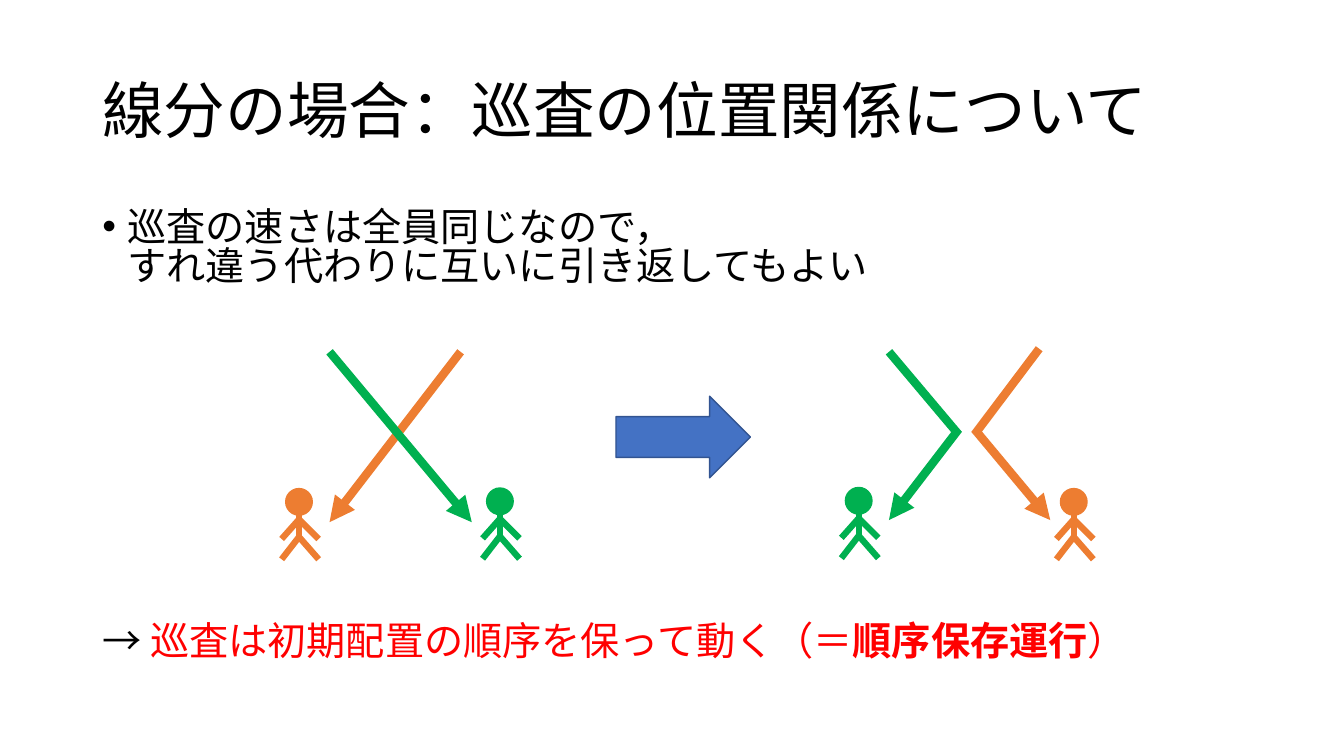
from dataclasses import dataclass

from pptx import Presentation
from pptx.dml.color import RGBColor
from pptx.enum.shapes import MSO_CONNECTOR, MSO_SHAPE
from pptx.enum.text import MSO_ANCHOR
from pptx.oxml.ns import qn
from pptx.util import Pt


@dataclass(frozen=True)
class Theme:
    font: str = "Noto Sans CJK JP"
    title_size: float = 44
    body_size: float = 28
    text: str = "000000"
    accent: str = "FF0000"
    orange: str = "ED7D31"
    green: str = "00B050"
    blue: str = "4472C4"
    blue_edge: str = "325491"
    route_width: float = 6
    limb_width: float = 4.5
    edge_width: float = 1


@dataclass(frozen=True)
class Segment:
    start: tuple[float, float]
    end: tuple[float, float]
    color: str
    arrow: bool = True


@dataclass(frozen=True)
class Officer:
    center: float
    top: float
    color: str


@dataclass(frozen=True)
class TextPart:
    text: str
    color: str
    bold: bool = False


THEME = Theme()

# Routes: crossing on the left, turning back on the right
SEGMENTS = [
    Segment((329, 251.3), (235.4, 373), THEME.orange),
    Segment((235.4, 251.3), (337, 373), THEME.green),
    Segment((684.7, 306.7), (635, 371.5), THEME.green),
    Segment((696.2, 306.7), (750.2, 371.5), THEME.orange),
    Segment((684.7, 310.3), (635, 251.3), THEME.green, arrow=False),
    Segment((696.2, 310.3), (742.3, 249.1), THEME.orange, arrow=False),
]

OFFICERS = [
    Officer(357.1, 348.6, THEME.green),
    Officer(213.6, 349, THEME.orange),
    Officer(767, 349, THEME.orange),
    Officer(613.4, 348.2, THEME.green),
]

# Stick figure, measured from the top centre of the head
HEAD_SIZE = 19
SHOULDER, HIP = (0, 22), (0, 34.5)
LIMBS = [
    ((0, 18.5), (0, 36)),
    (HIP, (14, 50.5)),
    (SHOULDER, (14, 36)),
    (SHOULDER, (-12.4, 36)),
    (HIP, (-12.4, 50.5)),
]


def add_line(shapes, start, end, color: str, width: float, arrow: bool = False) -> None:
    points = [Pt(value) for value in (*start, *end)]
    connector = shapes.add_connector(MSO_CONNECTOR.STRAIGHT, *points)
    connector.line.color.rgb = RGBColor.from_string(color)
    connector.line.width = Pt(width)
    if arrow:
        tail = connector.line._get_or_add_ln().makeelement(qn("a:tailEnd"), {"type": "triangle"})
        connector.line._get_or_add_ln().append(tail)
    properties = connector._element.spPr
    properties.append(properties.makeelement(qn("a:effectLst"), {}))


def add_solid(shapes, kind, box, fill: str, edge: str) -> None:
    shape = shapes.add_shape(kind, *[Pt(value) for value in box])
    shape.shadow.inherit = False
    shape.fill.solid()
    shape.fill.fore_color.rgb = RGBColor.from_string(fill)
    shape.line.color.rgb = RGBColor.from_string(edge)
    shape.line.width = Pt(THEME.edge_width)


def add_officer(slide, officer: Officer) -> None:
    shapes = slide.shapes.add_group_shape().shapes
    head = (officer.center - HEAD_SIZE / 2, officer.top, HEAD_SIZE, HEAD_SIZE)
    add_solid(shapes, MSO_SHAPE.OVAL, head, officer.color, officer.color)
    for limb in LIMBS:
        start, end = [(officer.center + x, officer.top + y) for x, y in limb]
        add_line(shapes, start, end, officer.color, THEME.limb_width)


def add_text(slide, box, lines: list[list[TextPart]], size: float, spacing: float,
             anchor=MSO_ANCHOR.TOP, bullet: bool = False) -> None:
    frame = slide.shapes.add_textbox(*[Pt(value) for value in box]).text_frame
    frame.word_wrap = True
    frame.vertical_anchor = anchor
    paragraph = frame.paragraphs[0]
    paragraph.line_spacing = spacing
    if bullet:
        properties = paragraph._p.get_or_add_pPr()
        properties.set("marL", str(Pt(18)))
        properties.set("indent", str(Pt(-18)))
        for tag, name, value in (("a:buFont", "typeface", "Arial"), ("a:buChar", "char", "•")):
            properties.append(properties.makeelement(qn(tag), {name: value}))
    for number, line in enumerate(lines):
        if number:
            paragraph.add_line_break()
        for part in line:
            run = paragraph.add_run()
            run.text = part.text
            run.font.name = THEME.font
            run.font.size = Pt(size)
            run.font.bold = part.bold
            run.font.color.rgb = RGBColor.from_string(part.color)
            east_asian = run._r.rPr.makeelement(qn("a:ea"), {"typeface": THEME.font})
            run._r.rPr.find(qn("a:latin")).addnext(east_asian)


def main() -> None:
    presentation = Presentation()
    presentation.slide_width, presentation.slide_height = Pt(960), Pt(540)
    slide = presentation.slides.add_slide(presentation.slide_layouts[6])

    # Title and claim
    add_text(slide, (66, 28.8, 828, 104.4),
             [[TextPart("線分の場合：巡査の位置関係について", THEME.text)]],
             THEME.title_size, 0.9, anchor=MSO_ANCHOR.MIDDLE)
    add_text(slide, (66, 146.5, 828, 75),
             [[TextPart("巡査の速さは全員同じなので，", THEME.text)],
              [TextPart("すれ違う代わりに互いに引き返してもよい", THEME.text)]],
             THEME.body_size, 0.83, bullet=True)

    # Diagram
    for segment in SEGMENTS:
        add_line(slide.shapes, segment.start, segment.end, segment.color,
                 THEME.route_width, segment.arrow)
    add_solid(slide.shapes, MSO_SHAPE.RIGHT_ARROW, (440, 283, 96, 58.3),
              THEME.blue, THEME.blue_edge)
    for officer in OFFICERS:
        add_officer(slide, officer)

    # Conclusion
    add_text(slide, (66, 442, 828, 42),
             [[TextPart("→ ", THEME.text),
               TextPart("巡査は初期配置の順序を保って動く（＝", THEME.accent),
               TextPart("順序保存運行", THEME.accent, bold=True),
               TextPart("）", THEME.accent)]],
             THEME.body_size, 0.83)

    presentation.save("out.pptx")


if __name__ == "__main__":
    main()
